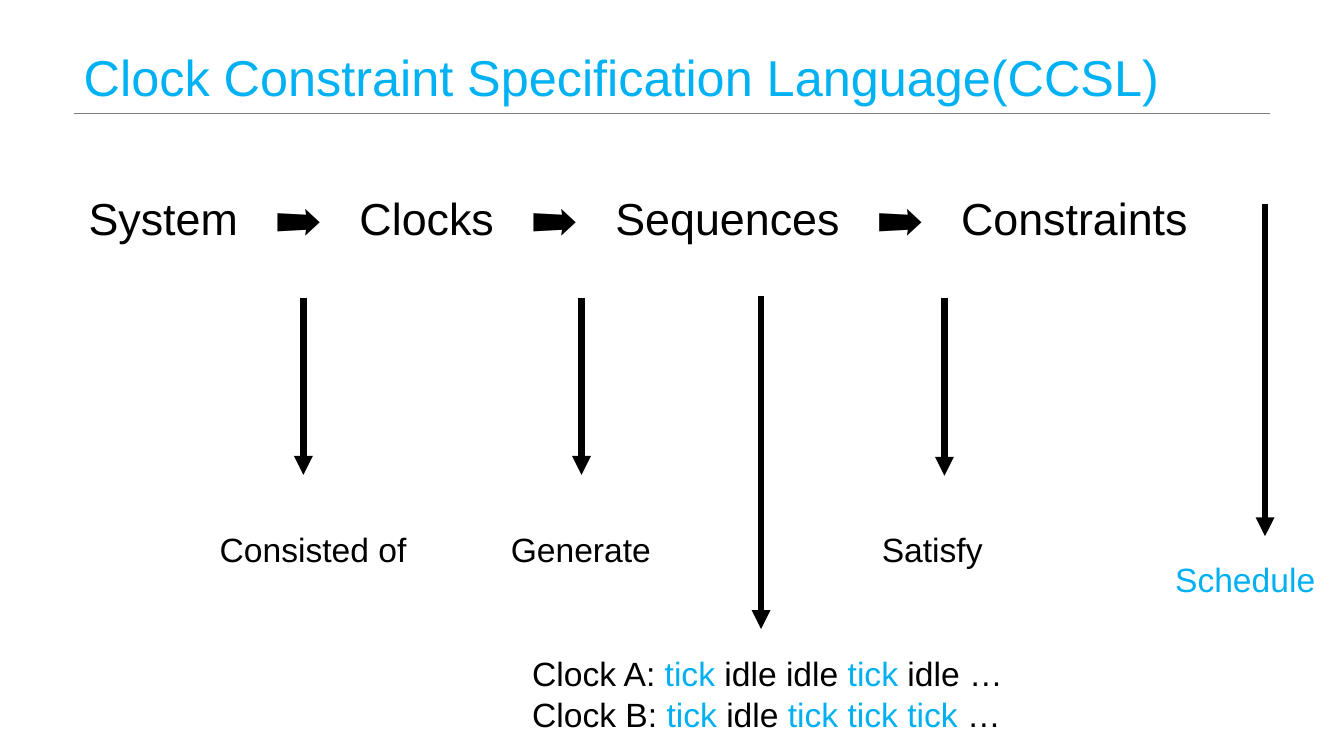
from dataclasses import dataclass

import pptx
import pptx.dml.color
import pptx.enum.shapes
import pptx.enum.text
import pptx.oxml
import pptx.oxml.ns
import pptx.util

Pt = pptx.util.Pt
Fit = pptx.enum.text.MSO_AUTO_SIZE
Anchor = pptx.enum.text.MSO_ANCHOR
Align = pptx.enum.text.PP_ALIGN

BLACK, BLUE, CYAN, GRAY = "000000", "00B0F0", "00B2F3", "808080"
FRAME = {"word_wrap": True, "auto_size": Fit.SHAPE_TO_FIT_TEXT}
FONT = {"name": "Arial", "bold": False}
Run = tuple[str, str]


@dataclass
class Line:
    x: float
    y: float
    end_x: float
    end_y: float
    width: float = 4.5
    color: str = BLACK
    arrow: bool = True


@dataclass
class Label:
    x: float
    y: float
    width: float
    height: float
    rows: list[list[Run]]
    size: float = 24
    wrap: bool = False
    stops: tuple[float, ...] = ()


def down(x: float, top: float, end: float) -> Line:
    return Line(x, top, x, end)


def note(x: float, y: float, width: float, text: str, color: str = BLACK,
         wrap: bool = False) -> Label:
    return Label(x, y, width, 36, [[(text, color)]], wrap=wrap)


def apply(item, values: dict) -> None:
    for key, value in values.items():
        setattr(item, key, value)


def paint(color, code: str) -> None:
    color.rgb = pptx.dml.color.RGBColor.from_string(code)


def add_xml(parent, tag: str, **attrs: str):
    node = pptx.oxml.parse_xml(f"<a:{tag} {pptx.oxml.ns.nsdecls('a')}/>")
    for key, value in attrs.items():
        node.set(key, value)
    parent.append(node)
    return node


def write(para, runs: list[Run], size: float) -> None:
    for text, color in runs:
        run = para.add_run()
        run.text = text
        apply(run.font, {**FONT, "size": Pt(size)})
        paint(run.font.color, color)


def draw_line(slide, line: Line) -> None:
    link = slide.shapes.add_connector(
        pptx.enum.shapes.MSO_CONNECTOR.STRAIGHT,
        Pt(line.x), Pt(line.y), Pt(line.end_x), Pt(line.end_y))
    link.line.width = Pt(line.width)
    paint(link.line.color, line.color)
    props = link._element.spPr
    if line.arrow:
        add_xml(props.find(pptx.oxml.ns.qn("a:ln")), "tailEnd", type="triangle")
    add_xml(props, "effectLst")


def draw_label(slide, label: Label) -> None:
    box = slide.shapes.add_textbox(
        Pt(label.x), Pt(label.y), Pt(label.width), Pt(label.height))
    frame = box.text_frame
    apply(frame, {**FRAME, "word_wrap": label.wrap})
    for i, runs in enumerate(label.rows):
        para = frame.add_paragraph() if i else frame.paragraphs[0]
        write(para, runs, label.size)
        if label.stops:
            tabs = add_xml(para._p.get_or_add_pPr(), "tabLst")
            for stop in label.stops:
                add_xml(tabs, "tab", pos=str(Pt(stop)), algn="l")


def draw_title(slide, text: str) -> None:
    title = slide.shapes.title
    apply(title, {"left": Pt(52.6), "top": Pt(0),
                  "width": Pt(854.6), "height": Pt(80.6)})
    apply(title.text_frame, {"word_wrap": True, "auto_size": Fit.NONE,
                             "vertical_anchor": Anchor.BOTTOM})
    para = title.text_frame.paragraphs[0]
    apply(para, {"alignment": Align.LEFT, "line_spacing": 0.9})
    write(para, [(text, CYAN)], 36)


STEPS = ["System", "Clocks", "Sequences", "Constraints"]
SIGNS = (133.5, 316.3, 563.2)
STOPS = tuple(x + gap for x in SIGNS for gap in (0, 60))
TICKS = [
    [("Clock A: ", BLACK), ("tick ", BLUE), ("idle idle ", BLACK),
     ("tick", BLUE), (" idle …", BLACK)],
    [("Clock B: ", BLACK), ("tick ", BLUE), ("idle ", BLACK),
     ("tick tick tick", BLUE), (" …", BLACK)],
]
LINES = [
    Line(52.6, 80.6, 907.2, 80.6, 0.25, GRAY, False),
    down(216.7, 213, 339.2),
    down(415.4, 213, 339.2),
    down(674.6, 213, 339.8),
    down(543.6, 211.7, 449.3),
    down(903.6, 145.4, 383),
]
LABELS = [
    Label(56.2, 132.5, 847.4, 46, [[("\t➡\t".join(STEPS), BLACK)]],
          32, True, STOPS),
    note(149.8, 374.4, 149, "Consisted of"),
    note(357.8, 374.4, 116, "Generate"),
    note(622.8, 374.4, 87, "Satisfy"),
    Label(373, 463, 354.2, 65.5, TICKS),
    note(832.3, 396, 118, "Schedule", BLUE, True),
]


def main() -> None:
    deck = pptx.Presentation()
    apply(deck, {"slide_width": Pt(960), "slide_height": Pt(540)})
    slide = deck.slides.add_slide(deck.slide_layouts.get_by_name("Title Only"))
    draw_title(slide, "Clock Constraint Specification Language(CCSL)")
    for line in LINES:
        draw_line(slide, line)
    for label in LABELS:
        draw_label(slide, label)
    deck.save("out.pptx")


if __name__ == "__main__":
    main()
